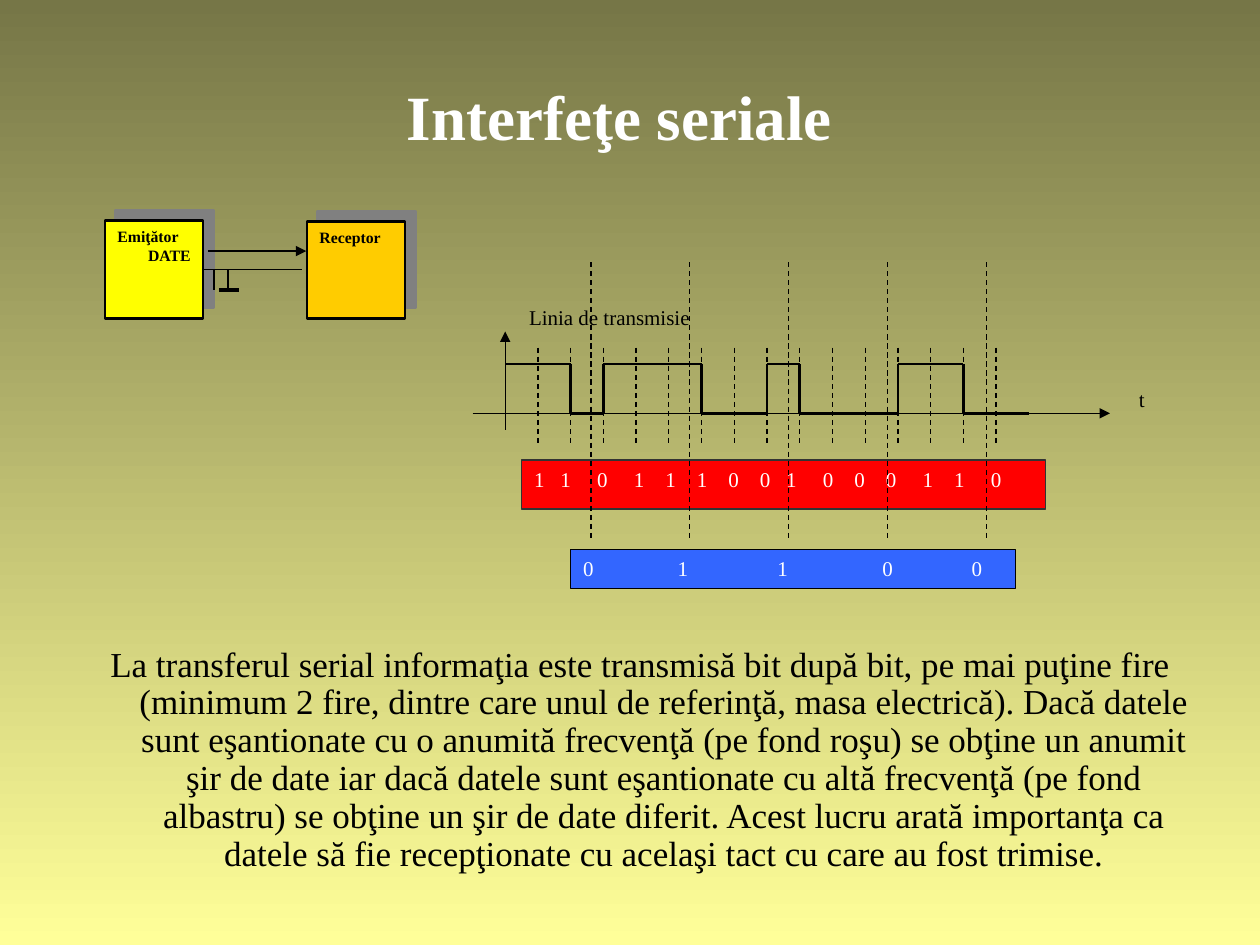
from itertools import groupby

from pptx import Presentation
from pptx.dml.color import RGBColor
from pptx.enum.dml import MSO_LINE
from pptx.enum.shapes import MSO_CONNECTOR, MSO_SHAPE
from pptx.enum.text import MSO_ANCHOR, MSO_AUTO_SIZE, PP_ALIGN
from pptx.oxml.ns import qn
from pptx.util import Pt
from lxml import etree

LEFT, CENTER, RIGHT = PP_ALIGN.LEFT, PP_ALIGN.CENTER, PP_ALIGN.RIGHT
TOP, MIDDLE = MSO_ANCHOR.TOP, MSO_ANCHOR.MIDDLE
DASH = MSO_LINE.DASH
RECT, STRAIGHT = MSO_SHAPE.RECTANGLE, MSO_CONNECTOR.STRAIGHT

BLACK = RGBColor(0, 0, 0)
WHITE = RGBColor(255, 255, 255)
OLIVE = RGBColor(0x76, 0x76, 0x47)
CREAM = RGBColor(0xFF, 0xFF, 0x99)
YELLOW = RGBColor(0xFF, 0xFF, 0)
AMBER = RGBColor(0xFF, 0xCC, 0)
RED = RGBColor(0xFF, 0, 0)
BLUE = RGBColor(0x33, 0x66, 0xFF)
DARK = RGBColor(0x33, 0x33, 0x33)

TITLE = {"size": Pt(36), "bold": True}
BODY = {"size": Pt(20)}
NODE = {"size": Pt(9), "bold": True}
LABEL = {"size": Pt(12)}

SENT = "110111001000110"
READ = "01100"
SENT_TABS = [15, 36, 57, 75, 93, 111, 129, 144, 165, 183, 201, 222, 240, 261]
READ_TABS = [54, 111, 171, 222]

ORIGIN, STEP = 288.7, 18.7  # start of the signal and width of one bit
HIGH, LOW = 208.1, 236.2

TEXT = (
    "La transferul serial informaţia este transmisă bit după bit, pe mai "
    "puţine fire (minimum 2 fire, dintre care unul de referinţă, masa "
    "electrică). Dacă datele sunt eşantionate cu o anumită frecvenţă (pe fond "
    "roşu) se obţine un anumit şir de date iar dacă datele sunt eşantionate cu "
    "altă frecvenţă (pe fond albastru) se obţine un şir de date diferit. Acest "
    "lucru arată importanţa ca datele să fie recepţionate cu acelaşi tact cu "
    "care au fost trimise."
)


def points(*nums):
    return [Pt(n) for n in nums]


def add_sub(node, tag, **attrs):
    return etree.SubElement(node, qn(tag), {k: str(v) for k, v in attrs.items()})


def write(shape, lines, look, color=BLACK, anchor=TOP):
    """Fill a shape with (text, alignment) lines and return its paragraphs."""
    frame = shape.text_frame
    frame.word_wrap = True
    frame.auto_size = MSO_AUTO_SIZE.NONE
    frame.vertical_anchor = anchor
    frame.text = "\n".join(text for text, _ in lines)
    for par, (_, align) in zip(frame.paragraphs, lines):
        par.alignment = align
        for run in par.runs:
            for key, value in look.items():
                setattr(run.font, key, value)
            run.font.name = "Times New Roman"
            run.font.color.rgb = color
    return frame.paragraphs


def place(shape, box):
    for key, value in zip(("left", "top", "width", "height"), points(*box)):
        setattr(shape, key, value)


def add_box(slide, box, fill, line=BLACK, width=0.75):
    shape = slide.shapes.add_shape(RECT, *points(*box))
    shape.shadow.inherit = False
    shape.fill.solid()
    shape.fill.fore_color.rgb = fill
    shape.line.color.rgb = line
    shape.line.width = Pt(width)
    return shape


def add_node(slide, box, fill, lines):
    """Add a station of the link, with a hard shadow to the upper right."""
    shape = add_box(slide, box, fill, width=1.5)
    effects = shape._element.spPr.find(qn("a:effectLst"))
    shade = add_sub(effects, "a:outerShdw", blurRad=0, dist=Pt(8.5),
                    dir=315 * 60000, algn="ctr", rotWithShape=0)
    add_sub(shade, "a:srgbClr", val="808080")
    write(shape, lines, NODE)


def add_label(slide, box, text):
    write(slide.shapes.add_textbox(*points(*box)), [(text, LEFT)], LABEL)


def add_bits(slide, box, fill, line, bits, stops):
    shape = add_box(slide, box, fill, line)
    par = write(shape, [("\t".join(bits), LEFT)], LABEL, WHITE)[0]
    tabs = add_sub(par._p.get_or_add_pPr(), "a:tabLst")
    for stop in stops:
        add_sub(tabs, "a:tab", pos=Pt(stop), algn="l")


def add_line(slide, x1, y1, x2, y2, width=0.75, dash=None, arrow=False):
    wire = slide.shapes.add_connector(STRAIGHT, *points(x1, y1, x2, y2))
    wire.line.color.rgb = BLACK
    wire.line.width = Pt(width)
    if dash:
        wire.line.dash_style = dash
    if arrow:
        add_sub(wire.line._get_or_add_ln(), "a:tailEnd", type="triangle")
    add_sub(wire._element.spPr, "a:effectLst")


def draw_text(slide):
    title, body = slide.placeholders
    place(title, (48, 30, 612, 72))
    write(title, [("Interfeţe seriale", CENTER)], TITLE, WHITE, MIDDLE)
    place(body, (42, 366, 648, 150))
    par = write(body, [(TEXT, CENTER)], BODY)[0]
    par.line_spacing = 0.9
    par.space_before = Pt(0)
    props = par._p.get_or_add_pPr()
    props.set("marL", str(Pt(27)))
    props.set("indent", str(Pt(-27)))
    add_sub(props, "a:buNone")


def draw_link(slide):
    add_node(slide, (60, 126, 56, 56), YELLOW,
             [("Emiţător", LEFT), ("DATE", RIGHT)])
    add_node(slide, (175.5, 126.5, 56, 55.5), AMBER, [("Receptor", LEFT)])
    add_line(slide, 119, 143.5, 175, 143.5, arrow=True)
    add_line(slide, 116.6, 154, 172.8, 154)
    add_line(slide, 122.3, 154, 122.3, 165.5)
    add_line(slide, 130.3, 165.5, 130.3, 153.5)
    add_line(slide, 125.3, 165.5, 136.8, 165.5, width=2.25)


def draw_wave(slide):
    """Trace the line level; the last bit is held for one more step."""
    x, last = ORIGIN, None
    for bit, run in groupby(SENT + SENT[-1]):
        y = HIGH if bit == "1" else LOW
        end = x + STEP * len(list(run))
        if last is not None:
            add_line(slide, x, last, x, y, width=1.5)
        add_line(slide, x, y, end, y, width=1.5)
        x, last = end, y


def draw_chart(slide):
    add_label(slide, (643.7, 217.4, 37.4, 28), "t")
    add_label(slide, (295.2, 170.6, 121, 28), "Linia de transmisie")
    add_line(slide, ORIGIN, 245.5, ORIGIN, 189.4, arrow=True)
    add_line(slide, 270, LOW, 634.3, LOW, arrow=True)
    for i in range(1, len(SENT) + 1):
        x = ORIGIN + STEP * i
        add_line(slide, x, 198.7, x, 254.9, dash=DASH)
    draw_wave(slide)
    add_bits(slide, (298.1, 262.8, 299.5, 28.1), RED, DARK, SENT, SENT_TABS)
    for i in range(len(READ)):
        x = 337.7 + 56.5 * i
        add_line(slide, x, 149.8, x, 308.2, dash=DASH)
    add_bits(slide, (326.2, 313.9, 254.2, 22.3), BLUE, BLACK, READ, READ_TABS)


def main():
    deck = Presentation()
    deck.slide_width, deck.slide_height = points(720, 540)
    slide = deck.slides.add_slide(deck.slide_layouts[1])
    fill = slide.background.fill
    fill.gradient()
    fill.gradient_angle = 270
    for stop, color in zip(fill.gradient_stops, (OLIVE, CREAM)):
        stop.color.rgb = color
    draw_text(slide)
    draw_link(slide)
    draw_chart(slide)
    deck.save("out.pptx")


if __name__ == "__main__":
    main()
